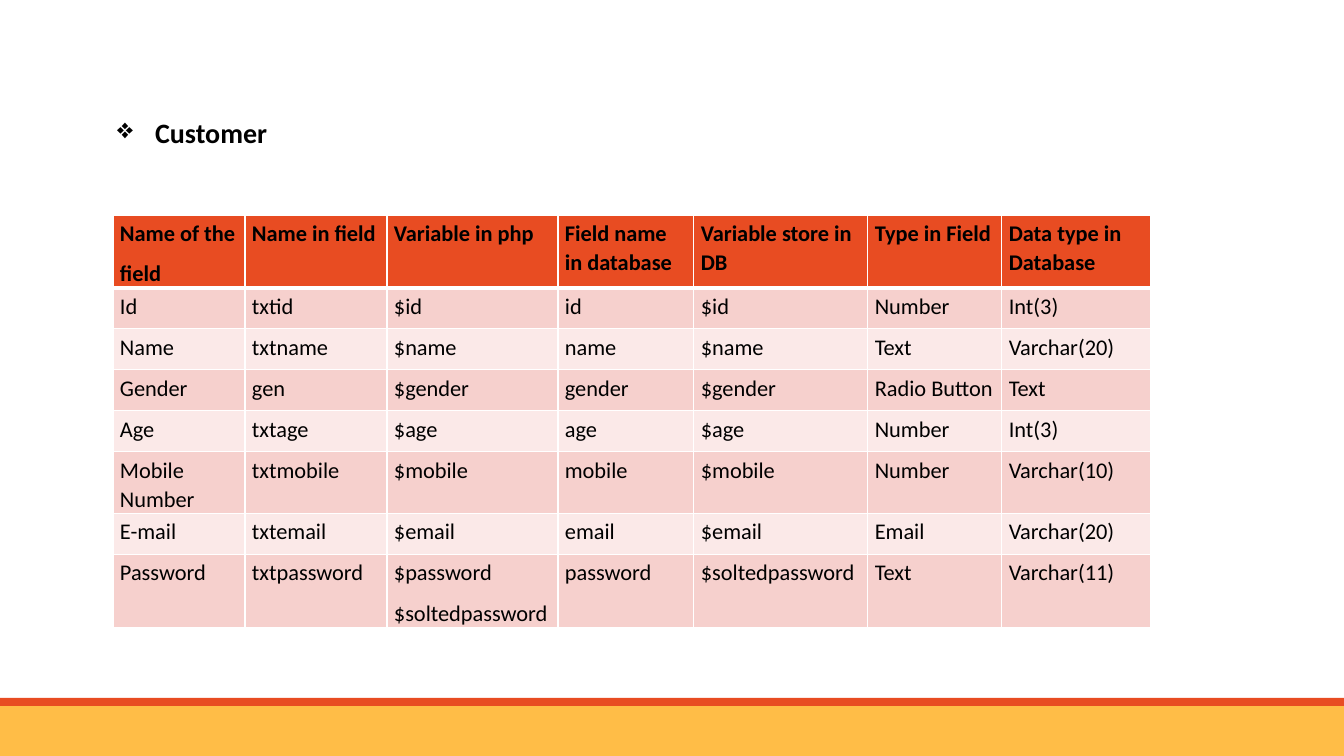
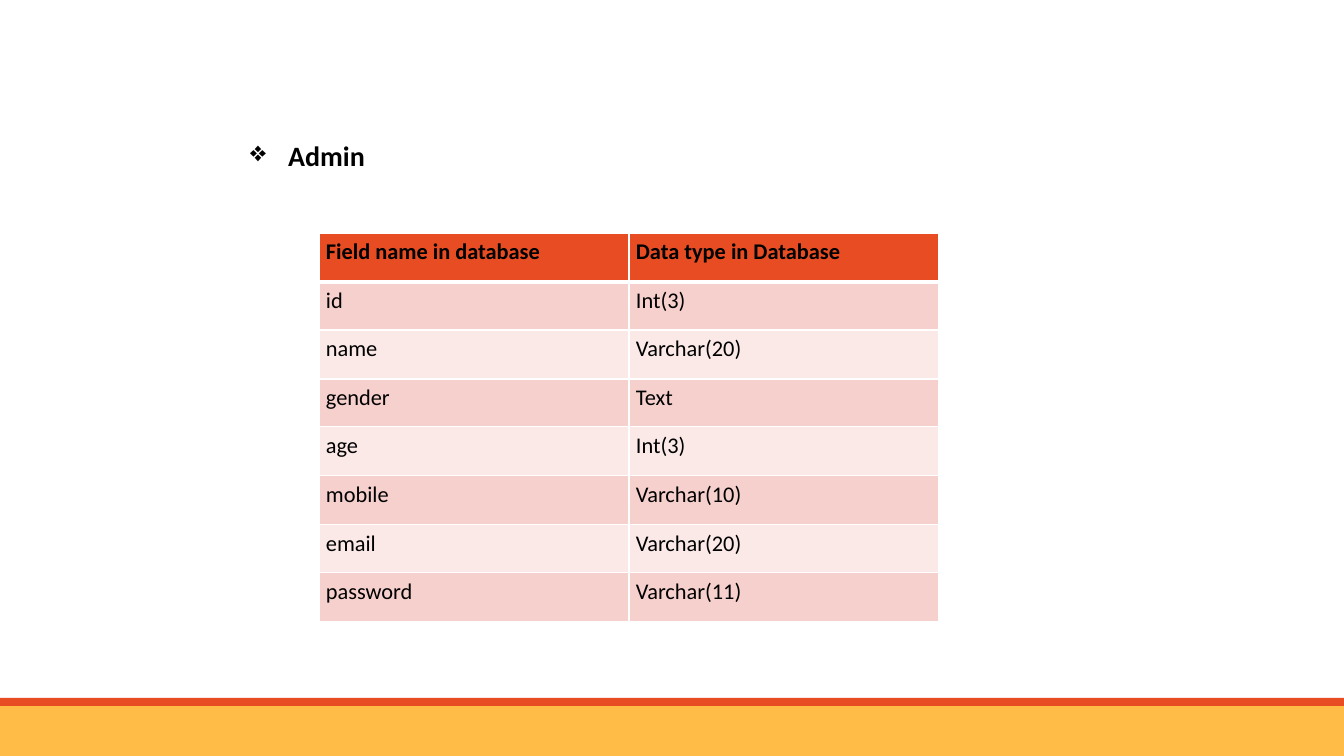
from lxml import etree
from pptx import Presentation
from pptx.dml.color import RGBColor
from pptx.enum.shapes import MSO_SHAPE
from pptx.enum.text import MSO_ANCHOR, MSO_AUTO_SIZE, PP_ALIGN
from pptx.oxml.ns import qn
from pptx.util import Emu, Pt

RECTANGLE = MSO_SHAPE.RECTANGLE
TOP, LEFT = MSO_ANCHOR.TOP, PP_ALIGN.LEFT
NO_AUTOFIT = MSO_AUTO_SIZE.NONE
TITLE_ONLY = 5

EMU_PER_PX = 914400 / 100.8
SLIDE_WIDTH, SLIDE_HEIGHT = 1344, 756
FONT = "Calibri"
COLORS = {
    "text": "000000",
    "border": "FFFFFF",
    "header": "E84C22",
    "odd_row": "F6D0CD",
    "even_row": "FBE9E8",
    "footer": "FFBD47",
}


def px(length):
    return Emu(round(length * EMU_PER_PX))


def color(name):
    return RGBColor.from_string(COLORS[name])


def even_split(total, count):
    """Split a length into whole parts that add up to it."""
    edges = [round(total * i / count) for i in range(count + 1)]
    return [end - start for start, end in zip(edges, edges[1:])]


class Deck:
    """The shared style and the slide being built."""

    def __init__(self):
        self.presentation = Presentation()
        self.presentation.slide_width = px(SLIDE_WIDTH)
        self.presentation.slide_height = px(SLIDE_HEIGHT)
        self.slide = None

    def new_slide(self):
        layout = self.presentation.slide_layouts[TITLE_ONLY]
        self.slide = self.presentation.slides.add_slide(layout)
        self.band(706, 50, "footer")
        self.band(698, 8, "header")

    def band(self, top, height, fill):
        shape = self.slide.shapes.add_shape(
            RECTANGLE, 0, px(top), px(SLIDE_WIDTH), px(height))
        shape.shadow.inherit = False
        shape.fill.solid()
        shape.fill.fore_color.rgb = color(fill)
        shape.line.fill.background()

    def title(self, text, left, top, width, height):
        shape = self.slide.shapes.title
        shape.left, shape.top = px(left), px(top)
        shape.width, shape.height = px(width), px(height)
        frame = shape.text_frame
        frame.text = text
        frame.word_wrap = True
        frame.auto_size = NO_AUTOFIT
        frame.vertical_anchor = TOP
        paragraph = frame.paragraphs[0]
        paragraph.alignment = LEFT
        # Hanging diamond bullet
        properties = paragraph._p.get_or_add_pPr()
        properties.set("marL", str(px(38)))
        properties.set("indent", str(-px(38)))
        etree.SubElement(properties, qn("a:buChar")).set("char", "❖")
        self.format_runs(paragraph, 20, True)

    def table(self, left, top, column_widths, row_heights, rows, right_inset):
        table = self.slide.shapes.add_table(
            len(rows), len(column_widths), px(left), px(top),
            px(sum(column_widths)), px(sum(row_heights))).table
        for column, width in zip(table.columns, column_widths):
            column.width = px(width)
        for row, height in zip(table.rows, row_heights):
            row.height = px(height)
        for row_index, texts in enumerate(rows):
            for column_index, text in enumerate(texts):
                cell = table.cell(row_index, column_index)
                self.cell(cell, text, row_index, right_inset)

    def cell(self, cell, text, row_index, right_inset):
        is_header = row_index == 0
        cell.margin_left, cell.margin_right = px(7), px(right_inset)
        cell.margin_top, cell.margin_bottom = px(3), 0
        cell.vertical_anchor = TOP
        # A thick rule divides the header from the body
        self.border(cell, "a:lnL", 1)
        self.border(cell, "a:lnR", 1)
        self.border(cell, "a:lnT", 3 if row_index == 1 else 1)
        self.border(cell, "a:lnB", 3 if is_header else 1)
        band = "odd_row" if row_index % 2 else "even_row"
        cell.fill.solid()
        cell.fill.fore_color.rgb = color("header" if is_header else band)
        cell.text_frame.text = text
        for paragraph in cell.text_frame.paragraphs:
            paragraph.line_spacing = 1.07
            paragraph.space_after = Pt(8)
            self.format_runs(paragraph, 16, is_header)

    @staticmethod
    def border(cell, tag, width):
        properties = cell._tc.get_or_add_tcPr()
        line = etree.SubElement(properties, qn(tag), w=str(Pt(width)))
        fill = etree.SubElement(line, qn("a:solidFill"))
        etree.SubElement(fill, qn("a:srgbClr"), val=COLORS["border"])

    @staticmethod
    def format_runs(paragraph, size, bold):
        for run in paragraph.runs:
            run.font.name = FONT
            run.font.size = Pt(size)
            run.font.bold = bold
            run.font.color.rgb = color("text")


CUSTOMER_ROWS = [
    ["Name of the\nfield", "Name in field", "Variable in php",
     "Field name in database", "Variable store in DB", "Type in Field",
     "Data type in Database"],
    ["Id", "txtid", "$id", "id", "$id", "Number", "Int(3)"],
    ["Name", "txtname", "$name", "name", "$name", "Text", "Varchar(20)"],
    ["Gender", "gen", "$gender", "gender", "$gender", "Radio Button", "Text"],
    ["Age", "txtage", "$age", "age", "$age", "Number", "Int(3)"],
    ["Mobile Number", "txtmobile", "$mobile", "mobile", "$mobile", "Number",
     "Varchar(10)"],
    ["E-mail", "txtemail", "$email", "email", "$email", "Email",
     "Varchar(20)"],
    ["Password", "txtpassword", "$password\n$soltedpassword", "password",
     "$soltedpassword", "Text", "Varchar(11)"],
]

ADMIN_ROWS = [
    ["Field name in database", "Data type in Database"],
    ["id", "Int(3)"],
    ["name", "Varchar(20)"],
    ["gender", "Text"],
    ["age", "Int(3)"],
    ["mobile", "Varchar(10)"],
    ["email", "Varchar(20)"],
    ["password", "Varchar(11)"],
]


def main():
    deck = Deck()

    # Customer fields
    deck.new_slide()
    deck.title("Customer", 107, 110, 1145, 85)
    deck.table(113, 215, [132, 142, 171, 136, 174, 134, 149],
               [71, 41, 41, 41, 41, 60, 41, 71], CUSTOMER_ROWS, 5)

    # Admin fields
    deck.new_slide()
    deck.title("Admin", 240, 133, 1100, 90)
    deck.table(319, 233, [310, 310], even_split(389, len(ADMIN_ROWS)),
               ADMIN_ROWS, 7)

    deck.presentation.save("out.pptx")


if __name__ == "__main__":
    main()
